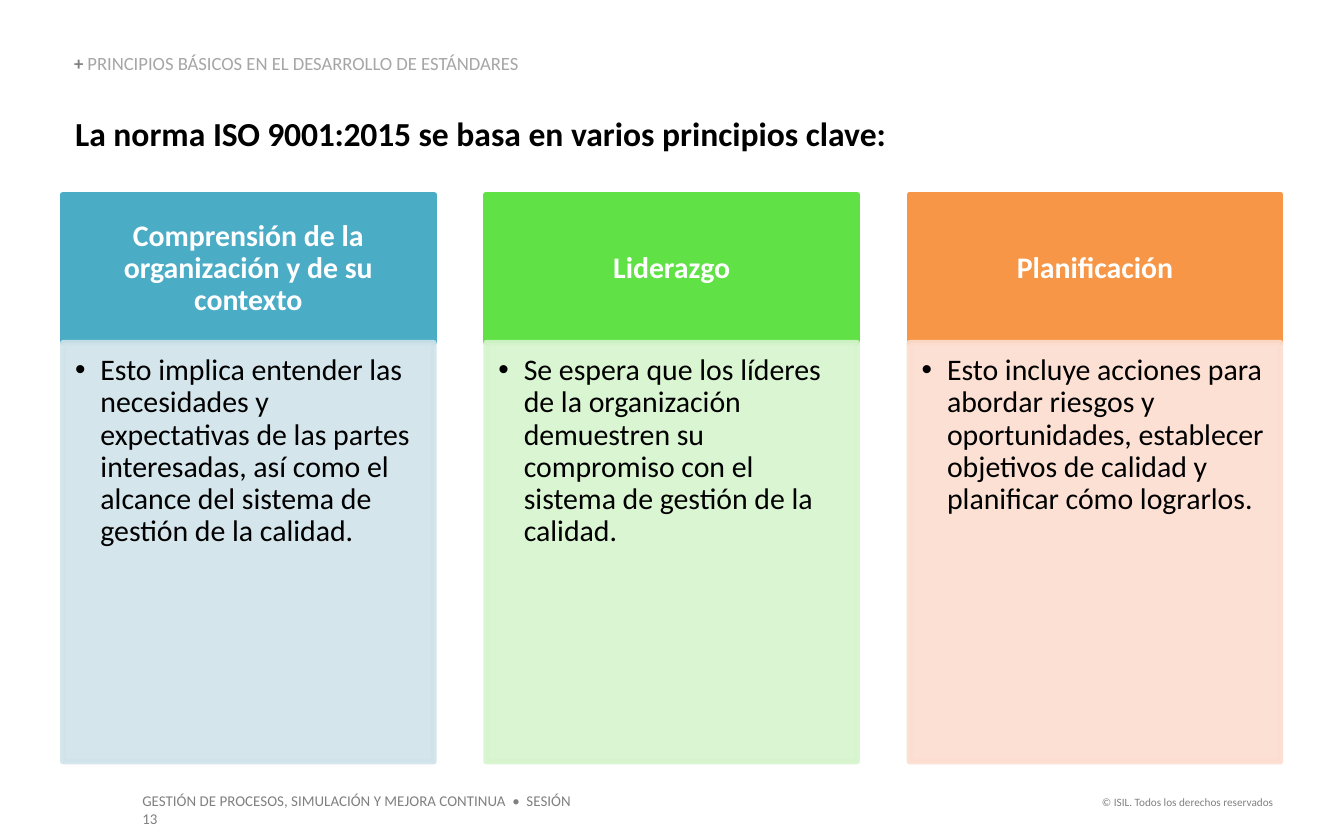
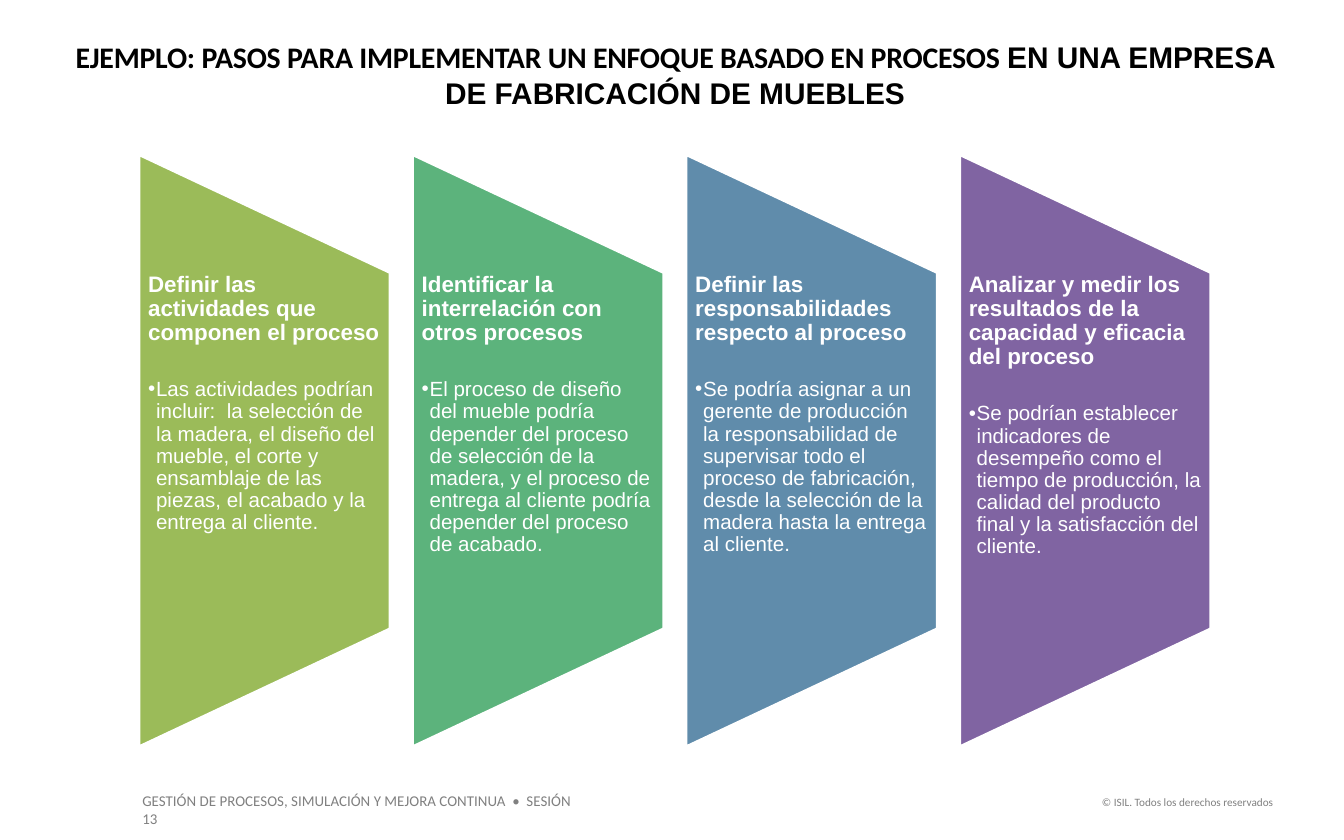
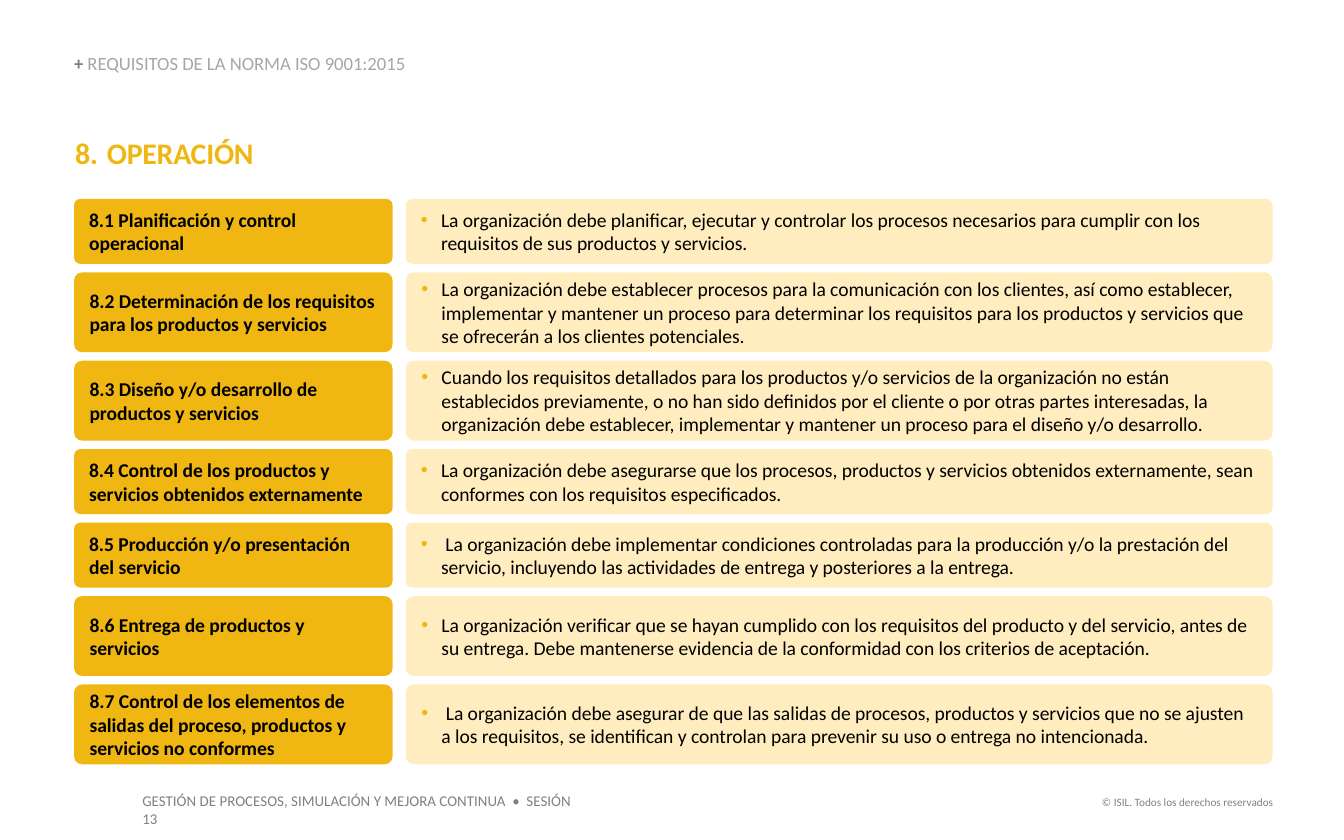
from dataclasses import dataclass
from typing import Optional

import lxml.etree
import pptx
import pptx.dml.color
import pptx.enum.shapes
import pptx.enum.text
import pptx.oxml.ns
import pptx.presentation
import pptx.shapes.autoshape
import pptx.slide
import pptx.text.text
import pptx.util

Cm = pptx.util.Cm
Pt = pptx.util.Pt
RGB = pptx.dml.color.RGBColor
Align = pptx.enum.text.PP_ALIGN
Anchor = pptx.enum.text.MSO_ANCHOR
Preset = pptx.enum.shapes.MSO_SHAPE
Deck = pptx.presentation.Presentation
Slide = pptx.slide.Slide
Shape = pptx.shapes.autoshape.Shape
Frame = pptx.text.text.TextFrame
Paragraph = pptx.text.text._Paragraph
qn = pptx.oxml.ns.qn

BLACK = RGB(0x00, 0x00, 0x00)
WHITE = RGB(0xFF, 0xFF, 0xFF)
GRAY = RGB(0x80, 0x80, 0x80)
LIGHT_GRAY = RGB(0xA6, 0xA6, 0xA6)
GOLD = RGB(0xF0, 0xB7, 0x12)
CREAM = RGB(0xFF, 0xED, 0xBF)
CALIBRI = "Calibri"
ARIAL = "Arial"
TIGHT = -0.1
NO_INSETS = (0, 0, 0, 0)
TEXT_INSETS = (0.25, 0.13, 0.25, 0.13)


@dataclass(frozen=True)
class Box:
    """Left, top, width and height in centimetres."""
    left: float
    top: float
    width: float
    height: float

    def lengths(self) -> tuple:
        return Cm(self.left), Cm(self.top), Cm(self.width), Cm(self.height)


@dataclass(frozen=True)
class Principle:
    heading: str
    detail: str
    color: RGB
    tint: RGB


@dataclass(frozen=True)
class Step:
    heading: str
    example: str
    color: RGB


@dataclass(frozen=True)
class Requirement:
    clause: str
    duty: str
    height: float


LOW_ROW, HIGH_ROW = 1.23, 1.51

PRINCIPLES = [
    Principle("Comprensión de la organización y de su contexto",
              "Esto implica entender las necesidades y expectativas de las partes interesadas, "
              "así como el alcance del sistema de gestión de la calidad.",
              RGB(0x4B, 0xAC, 0xC6), RGB(0xD0, 0xE3, 0xEA)),
    Principle("Liderazgo",
              "Se espera que los líderes de la organización demuestren su compromiso con el "
              "sistema de gestión de la calidad.",
              RGB(0x60, 0xE1, 0x46), RGB(0xD6, 0xF4, 0xCE)),
    Principle("Planificación",
              "Esto incluye acciones para abordar riesgos y oportunidades, establecer objetivos "
              "de calidad y planificar cómo lograrlos.",
              RGB(0xF7, 0x96, 0x46), RGB(0xFC, 0xDD, 0xCF)),
]

STEPS = [
    Step("Definir las actividades que componen el proceso",
         "Las actividades podrían incluir:  la selección de la madera, el diseño del mueble, "
         "el corte y ensamblaje de las piezas, el acabado y la entrega al cliente.",
         RGB(0x9B, 0xBB, 0x59)),
    Step("Identificar la interrelación con otros procesos",
         "El proceso de diseño del mueble podría depender del proceso de selección de la "
         "madera, y el proceso de entrega al cliente podría depender del proceso de acabado.",
         RGB(0x5C, 0xB3, 0x7C)),
    Step("Definir las responsabilidades respecto al proceso",
         "Se podría asignar a un gerente de producción la responsabilidad de supervisar todo "
         "el proceso de fabricación, desde la selección de la madera hasta la entrega al "
         "cliente.",
         RGB(0x60, 0x8C, 0xAB)),
    Step("Analizar y medir los resultados de la capacidad y eficacia del proceso",
         "Se podrían establecer indicadores de desempeño como el tiempo de producción, la "
         "calidad del producto final y la satisfacción del cliente.",
         RGB(0x80, 0x64, 0xA2)),
]

REQUIREMENTS = [
    Requirement("8.1 Planificación y control operacional",
                "La organización debe planificar, ejecutar y controlar los procesos necesarios "
                "para cumplir con los requisitos de sus productos y servicios.", LOW_ROW),
    Requirement("8.2 Determinación de los requisitos para los productos y servicios",
                "La organización debe establecer procesos para la comunicación con los "
                "clientes, así como establecer, implementar y mantener un proceso para "
                "determinar los requisitos para los productos y servicios que se ofrecerán a "
                "los clientes potenciales.", HIGH_ROW),
    Requirement("8.3 Diseño y/o desarrollo de productos y servicios",
                "Cuando los requisitos detallados para los productos y/o servicios de la "
                "organización no están establecidos previamente, o no han sido definidos por "
                "el cliente o por otras partes interesadas, la organización debe establecer, "
                "implementar y mantener un proceso para el diseño y/o desarrollo.", HIGH_ROW),
    Requirement("8.4 Control de los productos y servicios obtenidos externamente",
                "La organización debe asegurarse que los procesos, productos y servicios "
                "obtenidos externamente, sean conformes con los requisitos especificados.",
                LOW_ROW),
    Requirement("8.5 Producción y/o presentación del servicio",
                " La organización debe implementar condiciones controladas para la producción "
                "y/o la prestación del servicio, incluyendo las actividades de entrega y "
                "posteriores a la entrega.", LOW_ROW),
    Requirement("8.6 Entrega de productos y servicios",
                "La organización verificar que se hayan cumplido con los requisitos del "
                "producto y del servicio, antes de su entrega. Debe mantenerse evidencia de la "
                "conformidad con los criterios de aceptación.", HIGH_ROW),
    Requirement("8.7 Control de los elementos de salidas del proceso, productos y servicios "
                "no conformes",
                " La organización debe asegurar de que las salidas de procesos, productos y "
                "servicios que no se ajusten a los requisitos, se identifican y controlan para "
                "prevenir su uso o entrega no intencionada.", HIGH_ROW),
]


def write(paragraph: Paragraph, text: str, *, size: float, color: RGB = BLACK,
          font: str = CALIBRI, bold: bool = False, tracking: float = 0) -> None:
    """Add a run; tracking is the extra letter spacing in points."""
    run = paragraph.add_run()
    run.text = text
    run.font.size = Pt(size)
    run.font.color.rgb = color
    run.font.name = font
    run.font.bold = bold
    if tracking:
        run._r.get_or_add_rPr().set("spc", str(round(tracking * 100)))


def add_bullet(paragraph: Paragraph, indent: float, color: Optional[RGB] = None,
               start: Optional[int] = None) -> None:
    """Hang a dot, or a number when start is given."""
    properties = paragraph._p.get_or_add_pPr()
    properties.set("marL", str(Cm(indent)))
    properties.set("indent", str(-Cm(indent)))
    if color is not None:
        holder = lxml.etree.SubElement(properties, qn("a:buClr"))
        lxml.etree.SubElement(holder, qn("a:srgbClr"), val=str(color))
    if start is None:
        lxml.etree.SubElement(properties, qn("a:buFont"), typeface=ARIAL)
        lxml.etree.SubElement(properties, qn("a:buChar"), char="•")
    else:
        lxml.etree.SubElement(properties, qn("a:buAutoNum"), type="arabicPeriod",
                              startAt=str(start))


def set_frame(frame: Frame, insets: tuple, anchor: Anchor = Anchor.TOP,
              align: Align = Align.LEFT) -> Paragraph:
    """Format a text frame and return its first paragraph."""
    frame.word_wrap = True
    frame.auto_size = pptx.enum.text.MSO_AUTO_SIZE.NONE
    frame.vertical_anchor = anchor
    (frame.margin_left, frame.margin_top,
     frame.margin_right, frame.margin_bottom) = map(Cm, insets)
    first = frame.paragraphs[0]
    first.alignment = align
    return first


def add_panel(slide: Slide, preset: Preset, box: Box, fill: RGB,
              line: Optional[RGB] = None) -> Shape:
    panel = slide.shapes.add_shape(preset, *box.lengths())
    panel.shadow.inherit = False
    panel.fill.solid()
    panel.fill.fore_color.rgb = fill
    if line is None:
        panel.line.fill.background()
    else:
        panel.line.color.rgb = line
        panel.line.width = Pt(3)
    return panel


def set_opacity(panel: Shape, percent: int) -> None:
    for color in list(panel._element.spPr.iter(qn("a:srgbClr"))):
        lxml.etree.SubElement(color, qn("a:alpha"), val=str(percent * 1000))


def add_text_frame(slide: Slide, box: Box) -> Frame:
    return slide.shapes.add_textbox(*box.lengths()).text_frame


def place_title(slide: Slide, box: Box, align: Align = Align.LEFT) -> Paragraph:
    title = slide.shapes.title
    title.left, title.top, title.width, title.height = box.lengths()
    return set_frame(title.text_frame, NO_INSETS, align=align)


def add_section_label(slide: Slide, section: str) -> None:
    frame = add_text_frame(slide, Box(1.4, 1.04, 11.81, 0.38))
    label = set_frame(frame, NO_INSETS, Anchor.BOTTOM)
    label.line_spacing = 0.9
    write(label, "+ ", size=10, color=GRAY, bold=True)
    write(label, section, size=10, color=LIGHT_GRAY)


def add_slide_with_footer(deck: Deck) -> Slide:
    slide = deck.slides.add_slide(deck.slide_layouts[5])
    rights = set_frame(add_text_frame(slide, Box(20.5, 14.91, 3.81, 0.5)),
                       TEXT_INSETS, align=Align.RIGHT)
    write(rights, "© ISIL. Todos los derechos reservados", size=6, color=GRAY)
    course = set_frame(add_text_frame(slide, Box(2.44, 14.83, 8.85, 0.6)), TEXT_INSETS)
    write(course, "GESTIÓN DE PROCESOS, SIMULACIÓN Y MEJORA CONTINUA  •  SESIÓN 13",
          size=8, color=GRAY)
    return slide


def draw_principle(slide: Slide, principle: Principle, left: float) -> None:
    width, top, header_height = 7.01, 3.68, 2.8
    header = add_panel(slide, Preset.RECTANGLE, Box(left, top, width, header_height),
                       principle.color, principle.color)
    heading = set_frame(header.text_frame, (0.3, 0.18, 0.3, 0.18), Anchor.MIDDLE, Align.CENTER)
    heading.line_spacing = 0.9
    write(heading, principle.heading, size=16, color=WHITE, bold=True)

    body = add_panel(slide, Preset.RECTANGLE, Box(left, top + header_height, width, 7.92),
                     principle.tint, principle.tint)
    set_opacity(body, 90)
    detail = set_frame(body.text_frame, (0.23, 0.23, 0.3, 0.36))
    add_bullet(detail, 0.48)
    detail.line_spacing = 0.9
    write(detail, principle.detail, size=16)


def draw_step(slide: Slide, step: Step, left: float) -> None:
    width, length, middle = 4.8, 11.28, 8.52
    banner = add_panel(slide, Preset.FLOWCHART_MANUAL_OPERATION,
                       Box(left + (width - length) / 2, middle - width / 2, length, width),
                       step.color, WHITE)
    banner.rotation = 270

    frame = add_text_frame(slide, Box(left, 5.16, width, 6.78))
    heading = set_frame(frame, (0.2, 0, 0.2, 0))
    heading.line_spacing = 0.9
    heading.space_after = Pt(18)
    write(heading, step.heading, size=12, color=WHITE, font=ARIAL, bold=True)
    example = frame.add_paragraph()
    add_bullet(example, 0.15)
    example.line_spacing = 0.9
    write(example, step.example, size=11, color=WHITE, font=ARIAL)


def draw_requirement(slide: Slide, requirement: Requirement, top: float) -> None:
    height = requirement.height
    cells = []
    for left, width, fill in ((1.4, 6.02, GOLD), (7.67, 16.38, CREAM)):
        cell = add_panel(slide, Preset.ROUNDED_RECTANGLE, Box(left, top, width, height), fill)
        cell.adjustments[0] = 0.1
        cells.append(set_frame(cell.text_frame, TEXT_INSETS, Anchor.MIDDLE))
    clause, duty = cells
    write(clause, requirement.clause, size=10.5, bold=True)
    add_bullet(duty, 0.38, GOLD)
    write(duty, requirement.duty, size=10.5)


def build_principles(deck: Deck) -> None:
    slide = add_slide_with_footer(deck)
    add_section_label(slide, "PRINCIPIOS BÁSICOS EN EL DESARROLLO DE ESTÁNDARES")
    title = place_title(slide, Box(1.42, 2.13, 22.1, 0.76))
    write(title, "La norma ", size=18, bold=True)
    write(title, "ISO 9001:2015 ", size=18, bold=True, tracking=TIGHT)
    write(title, "se basa en varios principios clave:", size=18, bold=True)
    for index, principle in enumerate(PRINCIPLES):
        draw_principle(slide, principle, 1.19 + 8 * index)


def build_steps(deck: Deck) -> None:
    slide = add_slide_with_footer(deck)
    title = place_title(slide, Box(1.42, 0.74, 22.68, 1.37), Align.CENTER)
    write(title, "EJEMPLO: PASOS PARA IMPLEMENTAR UN ENFOQUE BASADO EN PROCESOS ",
          size=16, bold=True, tracking=TIGHT)
    write(title, "EN UNA EMPRESA DE FABRICACIÓN DE MUEBLES", size=16, font=ARIAL, bold=True)
    for index, step in enumerate(STEPS):
        draw_step(slide, step, 2.6 + 5.17 * index)


def build_requirements(deck: Deck) -> None:
    slide = add_slide_with_footer(deck)
    title = place_title(slide, Box(1.42, 2.54, 22.68, 0.69))
    add_bullet(title, 0.6, GOLD, start=8)
    write(title, "OPERACIÓN", size=16, color=GOLD, bold=True, tracking=TIGHT)
    top, gap = 3.76, 0.16
    for requirement in REQUIREMENTS:
        draw_requirement(slide, requirement, top)
        top += requirement.height + gap
    add_section_label(slide, "REQUISITOS DE LA NORMA ISO 9001:2015")


def main() -> None:
    deck = pptx.Presentation()
    deck.slide_width, deck.slide_height = Cm(25.4), Cm(15.88)
    build_principles(deck)
    build_steps(deck)
    build_requirements(deck)
    deck.save("out.pptx")


if __name__ == "__main__":
    main()
